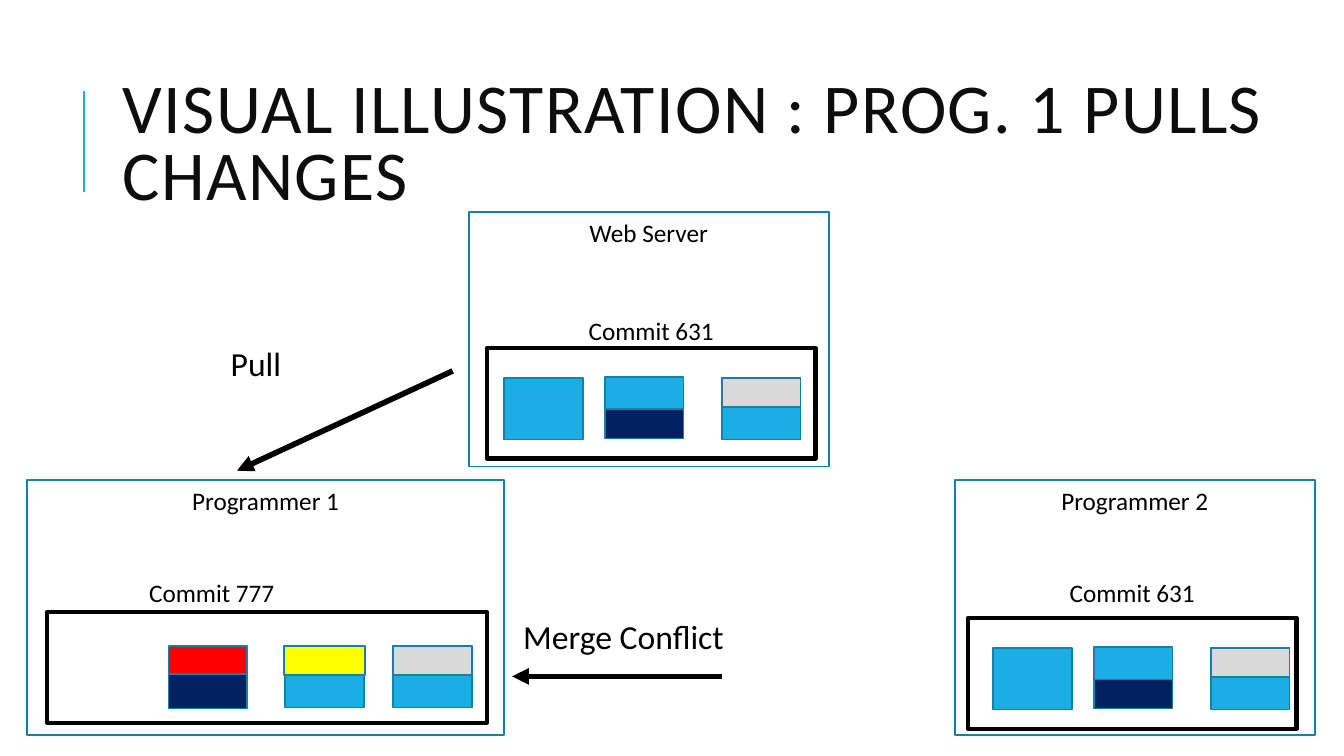
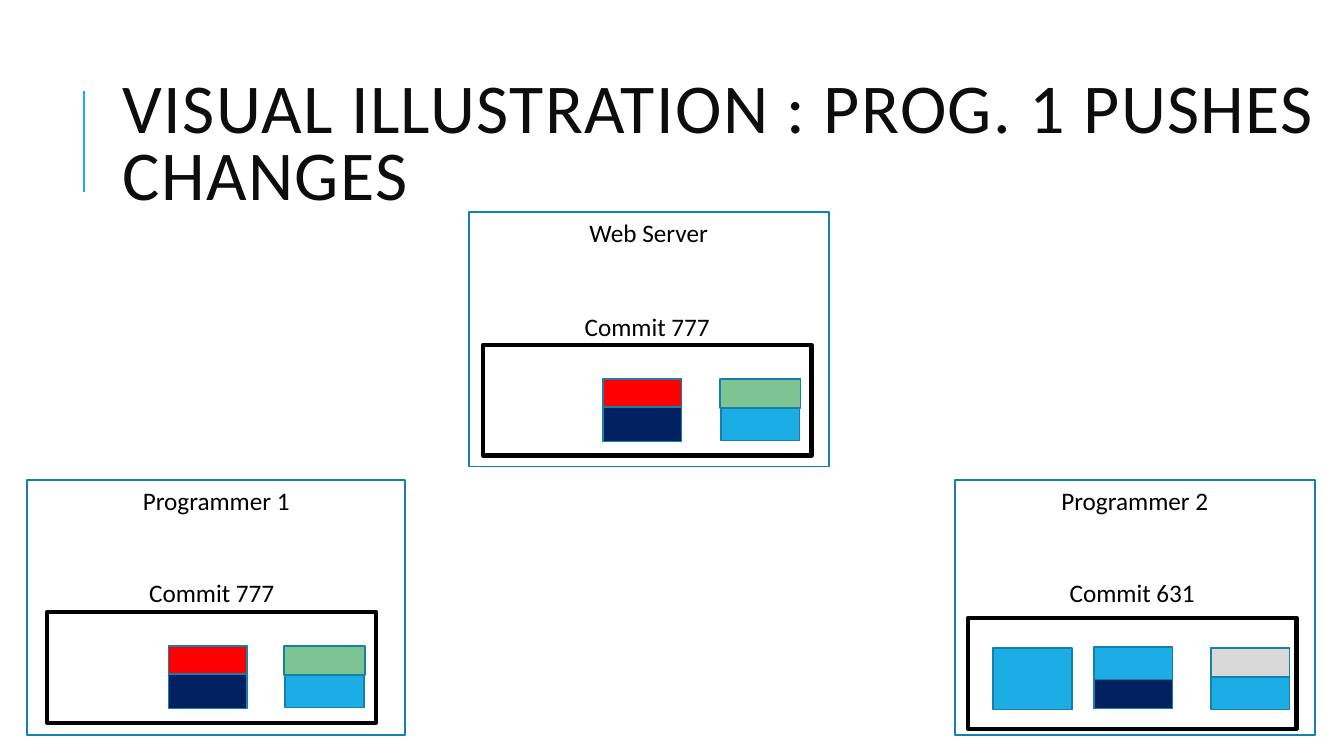
from lxml.etree import SubElement
from pptx import Presentation
from pptx.dml.color import RGBColor
from pptx.enum.shapes import MSO_CONNECTOR, MSO_SHAPE
from pptx.enum.text import MSO_ANCHOR, MSO_AUTO_SIZE, PP_ALIGN
from pptx.oxml.ns import qn
from pptx.util import Inches, Pt

FONT = "Calibri"
BLACK, TITLE_INK = "000000", "0D0D0D"
BLUE, EDGE, NAVY = "1CADE4", "1580A9", "002060"
RED, YELLOW, GREEN, GREY = "FF0000", "FFFF00", "7EC492", "D9D9D9"

FRAME_HEIGHT, COMMIT_HEIGHT, LABEL_HEIGHT = 2.53, 1.1, 0.4
FILE_WIDTH, FILE_HEIGHT, BAND_HEIGHT = 0.78, 0.61, 0.29

# Changed parts of a file: colour, offset right, offset down, width, height
TOP_BAND = (0, 0, FILE_WIDTH, BAND_HEIGHT)
WIDE_BAND = (-0.01, 0, 0.8, BAND_HEIGHT)
FILE_CHANGES = {
    "unchanged": [],
    "navy end": [(NAVY, 0, 0.32, FILE_WIDTH, BAND_HEIGHT)],
    "grey start": [(GREY, *TOP_BAND)],
    "yellow start": [(YELLOW, *WIDE_BAND)],
    "green start": [(GREEN, *WIDE_BAND)],
    "red and navy": [(RED, *TOP_BAND), (NAVY, 0, 0.28, FILE_WIDTH, 0.34)],
}

# frame and commit: left, top, width; files: left, top, change
PROGRAMMER_2 = {
    "name": "Programmer 2", "frame": (9.47, 4.76, 3.57),
    "commit": "Commit 631", "commit_box": (9.6, 6.13, 3.26), "label_top": 5.68,
    "files": [(9.85, 6.43, "unchanged"), (10.85, 6.42, "navy end"),
              (12.01, 6.43, "grey start")],
}
SLIDES = [
    {
        "title": "VISUAL ILLUSTRATION : PROG. 1 PULLS CHANGES",
        "machines": [
            {"name": "Web Server", "frame": (4.65, 2.1, 3.57),
             "commit": "Commit 631", "commit_box": (4.83, 3.45, 3.26), "label_top": 3.08,
             "files": [(5, 3.75, "unchanged"), (6, 3.74, "navy end"),
                       (7.16, 3.75, "grey start")]},
            {"name": "Programmer 1", "frame": (0.27, 4.76, 4.73),
             "commit": "Commit 777", "commit_box": (0.47, 6.07, 4.36), "label_top": 5.68,
             "files": [(1.67, 6.41, "red and navy"), (2.83, 6.41, "yellow start"),
                       (3.9, 6.41, "grey start")]},
            PROGRAMMER_2,
        ],
        "arrows": [((4.49, 3.68), (2.35, 4.67)), ((7.16, 6.71), (5.08, 6.71))],
        "notes": [("Pull", (2.19, 3.35, 1.77, 0.5)),
                  ("Merge Conflict", (5.09, 6.06, 2.24, 0.5))],
    },
    {
        "title": "VISUAL ILLUSTRATION : PROG. 1 PUSHES CHANGES",
        "machines": [
            {"name": "Web Server", "frame": (4.65, 2.1, 3.57),
             "commit": "Commit 777", "commit_box": (4.79, 3.42, 3.26), "label_top": 3.04,
             "files": [(5.98, 3.76, "red and navy"), (7.15, 3.76, "green start")]},
            {"name": "Programmer 1", "frame": (0.27, 4.76, 3.75),
             "commit": "Commit 777", "commit_box": (0.47, 6.07, 3.26), "label_top": 5.68,
             "files": [(1.67, 6.41, "red and navy"), (2.83, 6.41, "green start")]},
            PROGRAMMER_2,
        ],
        "arrows": [],
        "notes": [],
    },
]
LABEL_WIDTH = 3.26


def color(value):
    return RGBColor.from_string(value)


def inches(values):
    return [Inches(value) for value in values]


def add_rectangle(page, area, fill=None, line=EDGE, weight=1.25):
    box = page.shapes.add_shape(MSO_SHAPE.RECTANGLE, *inches(area))
    box.shadow.inherit = False
    if fill:
        box.fill.solid()
        box.fill.fore_color.rgb = color(fill)
    else:
        box.fill.background()
    box.line.color.rgb = color(line)
    box.line.width = Pt(weight)


def add_text(page, text, area, size=18, ink=BLACK, align=PP_ALIGN.CENTER):
    """Add a one-paragraph text box and return its text frame."""
    frame = page.shapes.add_textbox(*inches(area)).text_frame
    frame.word_wrap = True
    para = frame.paragraphs[0]
    para.alignment = align
    span = para.add_run()
    span.text = text
    for name, value in {"name": FONT, "size": Pt(size)}.items():
        setattr(span.font, name, value)
    span.font.color.rgb = color(ink)
    return frame


def add_line(page, start, end, ink, weight, arrow=False):
    line = page.shapes.add_connector(MSO_CONNECTOR.STRAIGHT, *inches(start + end))
    line.line.color.rgb = color(ink)
    line.line.width = Pt(weight)
    properties = line._element.spPr
    if arrow:
        SubElement(properties.find(qn("a:ln")), qn("a:tailEnd"), type="triangle")
    SubElement(properties, qn("a:effectLst"))


def add_title(page, text):
    add_line(page, (0.83, 1.9), (0.83, 0.9), BLUE, 1.5)
    frame = add_text(page, text, (1.12, 0.64, 12.21, 1.64), 50, TITLE_INK, PP_ALIGN.LEFT)
    frame.auto_size = MSO_AUTO_SIZE.NONE
    frame.vertical_anchor = MSO_ANCHOR.MIDDLE
    para = frame.paragraphs[0]
    para.line_spacing = 0.8
    para.runs[0]._r.get_or_add_rPr().set("spc", "100")


def add_file(page, left, top, change):
    add_rectangle(page, (left, top, FILE_WIDTH, FILE_HEIGHT), BLUE)
    for fill, right, down, width, height in FILE_CHANGES[change]:
        add_rectangle(page, (left + right, top + down, width, height), fill)


def add_machine(page, machine):
    """Draw a computer with its name, its commit and the files in that commit."""
    left, top, width = machine["frame"]
    add_rectangle(page, (left, top, width, FRAME_HEIGHT))
    add_text(page, machine["name"], (left, top + 0.01, width, LABEL_HEIGHT))
    left, top, width = machine["commit_box"]
    add_rectangle(page, (left, top, width, COMMIT_HEIGHT), line=BLACK, weight=3)
    add_text(page, machine["commit"],
             (left, machine["label_top"], LABEL_WIDTH, LABEL_HEIGHT))
    for file in machine["files"]:
        add_file(page, *file)


def main():
    deck = Presentation()
    deck.slide_width, deck.slide_height = inches((13.33, 7.5))
    for content in SLIDES:
        page = deck.slides.add_slide(deck.slide_layouts[6])
        add_title(page, content["title"])
        for machine in content["machines"]:
            add_machine(page, machine)
        for start, end in content["arrows"]:
            add_line(page, start, end, BLACK, 4, arrow=True)
        for text, area in content["notes"]:
            add_text(page, text, area, 24, align=PP_ALIGN.LEFT)
    deck.save("out.pptx")


if __name__ == "__main__":
    main()
